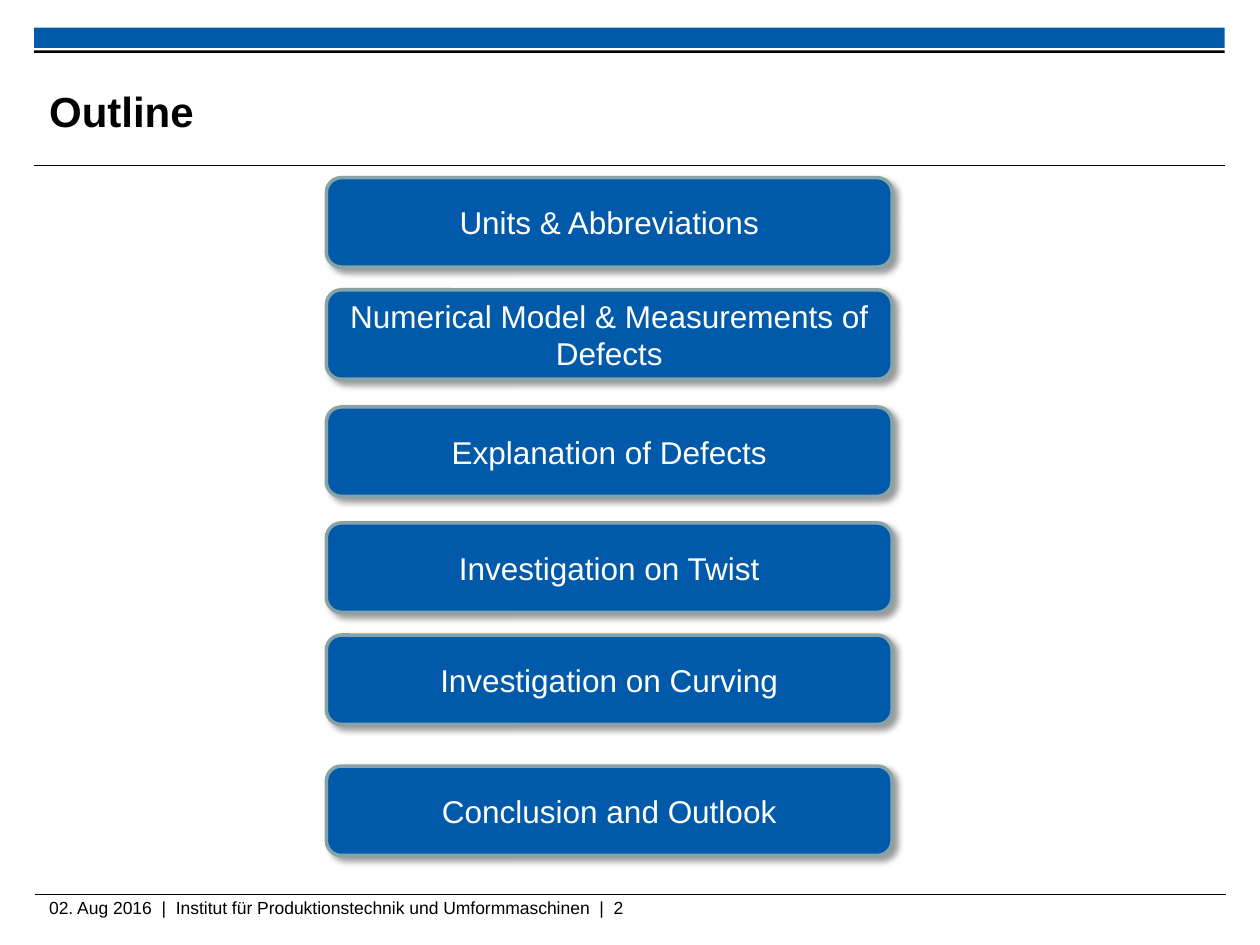
import pptx
import pptx.util
import pptx.dml.color
import pptx.enum.shapes
import pptx.enum.text
import pptx.oxml
import pptx.oxml.ns
from pptx.util import Inches

SHAPE = pptx.enum.shapes.MSO_SHAPE
ALIGN = pptx.enum.text.PP_ALIGN
ANCHOR = pptx.enum.text.MSO_ANCHOR
BLUE, BLACK, WHITE, GREY = "005AA9", "000000", "FFFFFF", "88A3A6"


def color(code):
    return pptx.dml.color.RGBColor.from_string(code)


def effect(shape, inner=""):
    """Give a shape its own effect list, empty by default."""
    space = pptx.oxml.ns.nsdecls("a")
    item = pptx.oxml.parse_xml(f"<a:effectLst {space}>{inner}</a:effectLst>")
    shape._element.spPr.append(item)


def write(shape, text, size=18, ink=BLACK, bold=False, align=ALIGN.LEFT,
          anchor=ANCHOR.TOP, inset=0, font="Arial"):
    frame = shape.text_frame
    frame.word_wrap = True
    frame.vertical_anchor = anchor
    frame.margin_left = frame.margin_right = Inches(inset)
    frame.margin_top = frame.margin_bottom = Inches(inset)
    para = frame.paragraphs[0]
    para.alignment = align
    run = para.add_run()
    run.text = text
    run.font.name = font
    run.font.size = pptx.util.Pt(size)
    run.font.bold = bold
    run.font.color.rgb = color(ink)


class Deck:
    shade = ('<a:outerShdw blurRad="50800" dist="38100" dir="2700000" algn="tl">'
             f'<a:srgbClr val="{BLACK}"><a:alpha val="40000"/></a:srgbClr>'
             '</a:outerShdw>')

    def __init__(self):
        self.file = pptx.Presentation()
        self.file.slide_width = Inches(10)
        self.file.slide_height = Inches(7.5)
        self.slide = self.file.slides.add_slide(self.file.slide_layouts[6])

    def bar(self, top, height, fill):
        shape = self.slide.shapes.add_shape(
            SHAPE.RECTANGLE, Inches(0.27), Inches(top), Inches(9.45), Inches(height))
        shape.shadow.inherit = False
        shape.fill.solid()
        shape.fill.fore_color.rgb = color(fill)
        shape.line.fill.background()

    def rule(self, left, top):
        line = self.slide.shapes.add_connector(
            pptx.enum.shapes.MSO_CONNECTOR.STRAIGHT,
            Inches(left), Inches(top), Inches(left + 9.45), Inches(top))
        line.line.color.rgb = color(BLACK)
        line.line.width = pptx.util.Pt(0.6)
        effect(line)

    def label(self, text, top, width, height, **style):
        box = self.slide.shapes.add_textbox(
            Inches(0.39), Inches(top), Inches(width), Inches(height))
        write(box, text, **style)

    def topic(self, text, top):
        box = self.slide.shapes.add_shape(
            SHAPE.ROUNDED_RECTANGLE, Inches(2.59), Inches(top), Inches(4.49), Inches(0.71))
        box.fill.solid()
        box.fill.fore_color.rgb = color(BLUE)
        box.line.color.rgb = color(GREY)
        box.line.width = pptx.util.Pt(2)
        effect(box, self.shade)
        write(box, text, ink=WHITE, align=ALIGN.CENTER, anchor=ANCHOR.MIDDLE, inset=0.05)


def main():
    deck = Deck()

    # Frame of the page
    deck.bar(0.22, 0.16, BLUE)
    deck.bar(0.4, 0.02, BLACK)
    deck.rule(0.27, 1.31)
    deck.rule(0.28, 7.1)

    # Title
    deck.label("Outline", 0.53, 7.52, 0.7, size=24, bold=True, anchor=ANCHOR.MIDDLE)

    # Topics of the talk
    topics = [
        ("Units & Abbreviations", 1.41),
        ("Numerical Model & Measurements of Defects", 2.3),
        ("Explanation of Defects", 3.23),
        ("Investigation on Twist", 4.15),
        ("Investigation on Curving", 5.04),
        ("Conclusion and Outlook", 6.08),
    ]
    for text, top in topics:
        deck.topic(text, top)

    # Footer
    deck.label("02. Aug 2016  |  Institut für Produktionstechnik und Umformmaschinen  |  2",
               7.12, 9.33, 0.15, size=10)

    deck.file.save("out.pptx")


if __name__ == "__main__":
    main()
